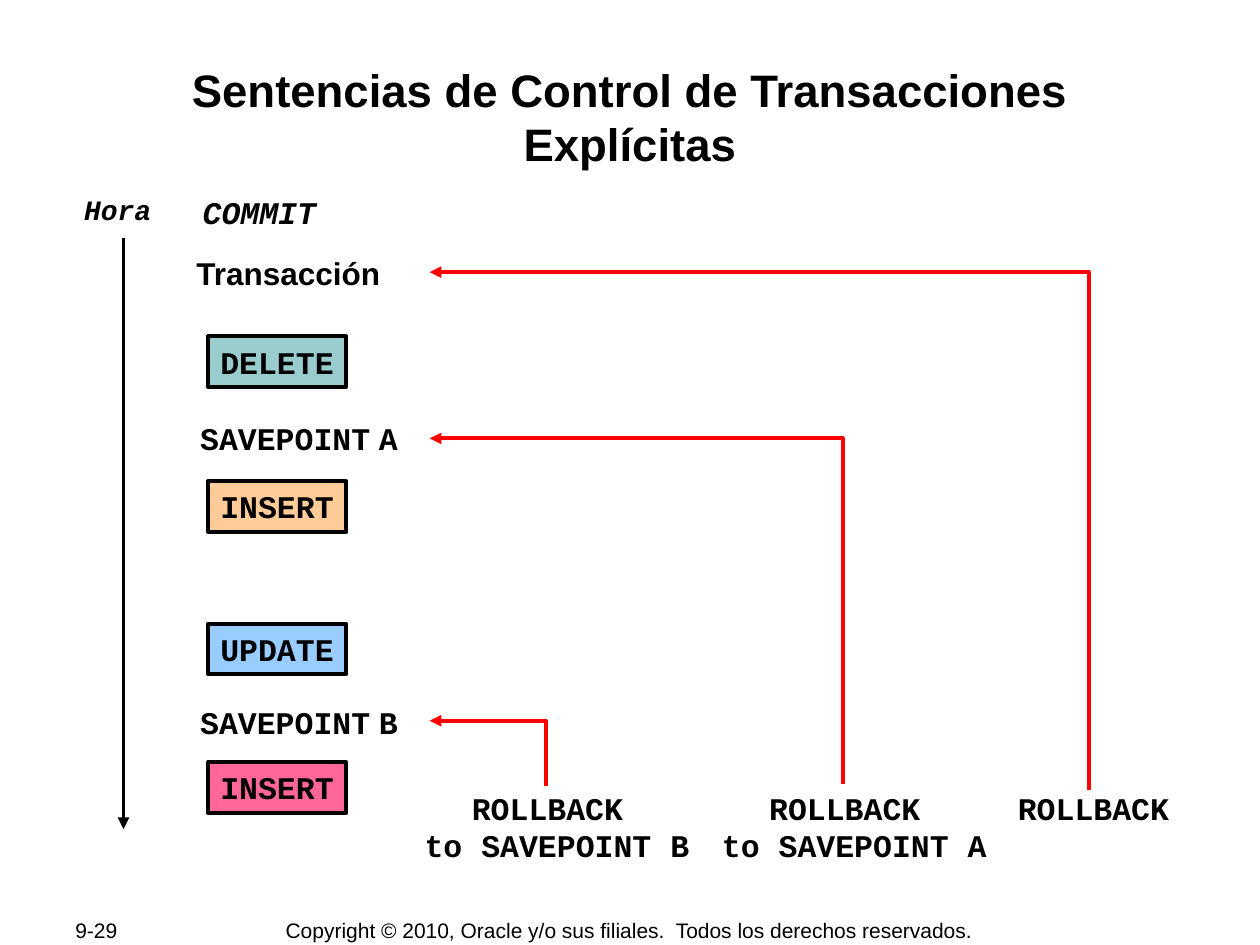
from lxml import etree
from pptx import Presentation
from pptx.dml.color import RGBColor
from pptx.enum.shapes import MSO_CONNECTOR, MSO_SHAPE
from pptx.enum.text import MSO_ANCHOR, MSO_AUTO_SIZE, PP_ALIGN
from pptx.oxml.ns import qn
from pptx.util import Inches, Pt

LEFT, MID, JUST = PP_ALIGN.LEFT, PP_ALIGN.CENTER, PP_ALIGN.JUSTIFY
TOP, CENTRE = MSO_ANCHOR.TOP, MSO_ANCHOR.MIDDLE
FIT, FIXED = MSO_AUTO_SIZE.SHAPE_TO_FIT_TEXT, MSO_AUTO_SIZE.NONE
RECT, STRAIGHT = MSO_SHAPE.RECTANGLE, MSO_CONNECTOR.STRAIGHT
SANS, CODE = "Arial", "Courier New"
BLACK, RED = "000000", "FF0000"

# The slide is a grid of 100 columns and 75 rows
WIDE, HIGH = 10, 7.5
COLS, ROWS = 100, 75
ROW = 4  # height of one line of text


def col(n):
    return Inches(n * WIDE / COLS)


def row(n):
    return Inches(n * HIGH / ROWS)


def cells(x, y, w, h):
    return col(x), row(y), col(w), row(h)


def paint(hue):
    return RGBColor.from_string(hue)


def add_run(para, text, face=CODE, size=18, bold=True, slant=False):
    run = para.add_run()
    run.text = text
    font = run.font
    font.name, font.size = face, Pt(size)
    font.bold, font.italic = bold, slant
    font.color.rgb = paint(BLACK)


def set_frame(frame, wrap=True, fit=FIT, anchor=TOP, pad=(0.1, 0.05)):
    frame.word_wrap, frame.auto_size = wrap, fit
    frame.vertical_anchor = anchor
    frame.margin_left = frame.margin_right = Inches(pad[0])
    frame.margin_top = frame.margin_bottom = Inches(pad[1])


def write(slide, box, lines, align=LEFT, wrap=True, fit=FIT, anchor=TOP, **style):
    frame = slide.shapes.add_textbox(*cells(*box)).text_frame
    set_frame(frame, wrap, fit, anchor)
    for i, line in enumerate(lines):
        para = frame.add_paragraph() if i else frame.paragraphs[0]
        para.alignment = align
        add_run(para, line, **style)
    return frame


def set_line(line, hue, end=None):
    line.color.rgb = paint(hue)
    line.width = Pt(2.25)
    if end:
        tip = etree.SubElement(line._get_or_add_ln(), qn("a:" + end))
        tip.set("type", "triangle")


def add_title(slide, box):
    title = slide.shapes.title
    title.left, title.top, title.width, title.height = cells(*box)
    set_frame(title.text_frame, fit=FIXED, pad=(0.01, 0.01))
    para = title.text_frame.paragraphs[0]
    para.alignment = MID
    add_run(para, "Sentencias de Control de Transacciones Explícitas", SANS, 26)


def add_time(slide, box):
    x, y, w, h = box
    write(slide, (x, y, w, 3.7), ["Hora"], size=16, slant=True)
    mid = x + w / 2
    axis = slide.shapes.add_connector(
        STRAIGHT, col(mid), row(y + h), col(mid), row(y + 4.1))
    set_line(axis.line, BLACK, "headEnd")
    etree.SubElement(axis._element.spPr, qn("a:effectLst"))


def add_step(slide, box, text, hue):
    step = slide.shapes.add_shape(RECT, *cells(*box))
    step.shadow.inherit = False
    step.fill.solid()
    step.fill.fore_color.rgb = paint(hue)
    set_line(step.line, BLACK)
    set_frame(step.text_frame, wrap=False)
    para = step.text_frame.paragraphs[0]
    para.alignment = LEFT
    add_run(para, text)


def add_flow(slide, box):
    x, y, w, h = box
    write(slide, (x + 0.5, y, 14.2, ROW), ["COMMIT"], slant=True)
    write(slide, (x, y + 4.9, 16.8, ROW), ["Transacción"], wrap=False, face=SANS)
    for down, mark in ((18, "A"), (40.5, "B")):
        frame = write(slide, (x + 0.3, y + down, w, ROW), ["SAVEPOINT"])
        para = frame.paragraphs[0]
        add_run(para, " ", SANS)
        add_run(para, mark)
    steps = ((11.9, "DELETE", "99CCCC"), (23.4, "INSERT", "FFCC99"),
             (34.7, "UPDATE", "99CCFF"), (h - ROW, "INSERT", "FF6699"))
    for down, text, hue in steps:
        add_step(slide, (x + 1.9, y + down, 11, ROW), text, hue)


def add_elbow(slide, foot, tip):
    (x, y), (left, top) = foot, tip
    pen = slide.shapes.build_freeform(col(x), row(y))
    pen.add_line_segments(
        [(col(x), row(top)), (col(left), row(top))], close=False)
    path = pen.convert_to_shape()
    path.shadow.inherit = False
    path.fill.background()
    set_line(path.line, RED, "tailEnd")


def add_undo(slide, box):
    x, y, w, h = box
    base = y + h - 7  # top of the labels
    # label column, label width, foot of the arrow, its target row, lines
    routes = (
        (0, 23, (10.6, 0.3), 35.6, ["ROLLBACK ", "to SAVEPOINT B"], MID),
        (23.6, 23, (34.2, 0.1), 13.2, ["ROLLBACK ", "to SAVEPOINT A"], MID),
        (w - 14, 14, (53.7, 0.6), 0, ["ROLLBACK"], LEFT),
    )
    for left, wide, (across, gap), down, lines, align in routes:
        tall = 7 if len(lines) > 1 else ROW
        write(slide, (x + left, base, wide, tall), lines, align, wrap=False)
        add_elbow(slide, (x + across, base + gap), (x + 1.4, y + down))


def add_foot(slide, box):
    x, y, w, h = box
    style = dict(wrap=False, fit=FIXED, anchor=CENTRE,
                 face=SANS, size=12, bold=False)
    write(slide, (x, y, 10.6, h), ["9-29"], JUST, **style)
    note = ("Copyright © 2010, Oracle y/o sus filiales.  "
            "Todos los derechos reservados.")
    write(slide, (x + w - 44.9, y, 44.9, h), [note], MID, **style)


def main():
    deck = Presentation()
    deck.slide_width, deck.slide_height = Inches(WIDE), Inches(HIGH)
    slide = deck.slides.add_slide(deck.slide_layouts[5])
    add_title(slide, (6.7, 4.8, 86.6, 9.6))
    add_time(slide, (5.7, 14.8, 8.2, 51))
    add_flow(slide, (14.6, 14.8, 22.4, 49.7))
    add_undo(slide, (32.7, 21.6, 61.1, 47.5))
    add_foot(slide, (5, 72.8, 67.4, 2.1))
    deck.save("out.pptx")


if __name__ == "__main__":
    main()
